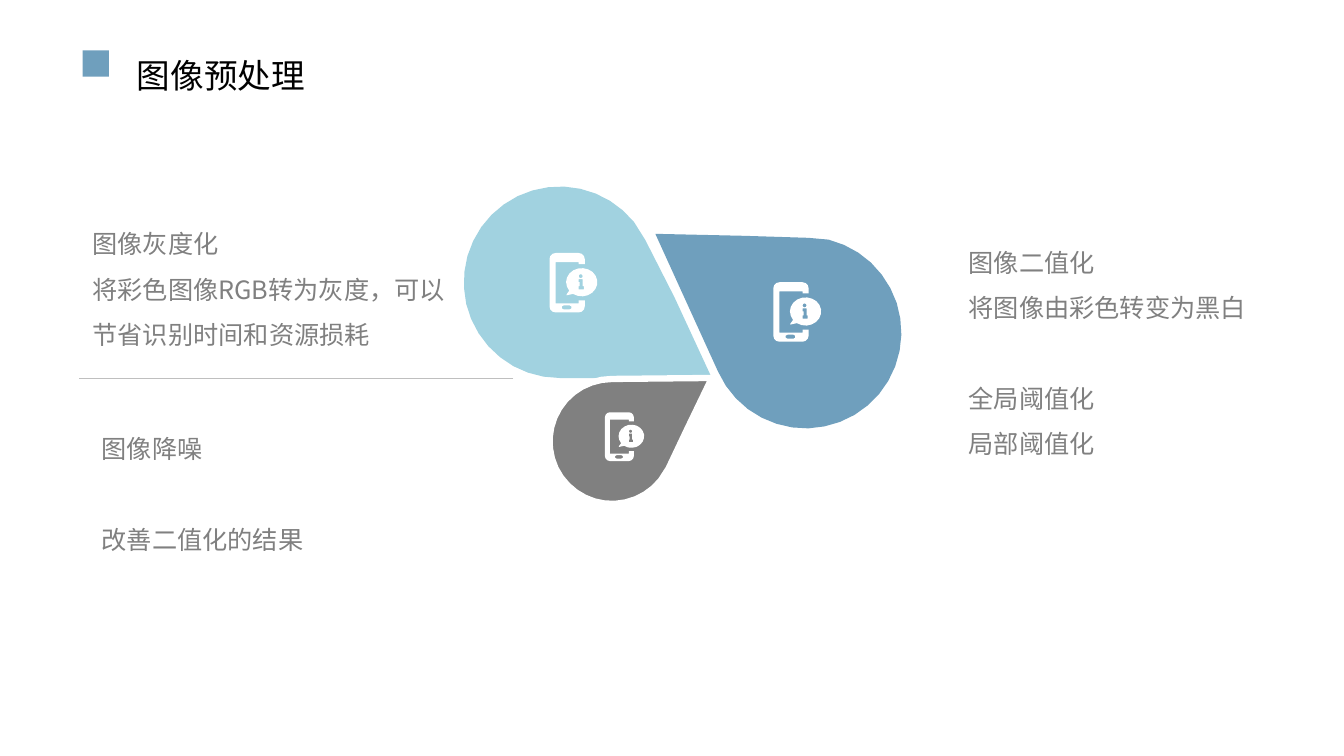
from math import cos, sin, radians
from lxml import etree
from pptx import Presentation
from pptx.dml.color import RGBColor
from pptx.enum.shapes import MSO_CONNECTOR, MSO_SHAPE
from pptx.oxml.ns import qn
from pptx.util import Inches, Pt

RECT = MSO_SHAPE.RECTANGLE
STRAIGHT = MSO_CONNECTOR.STRAIGHT
FONT = "Noto Sans CJK SC"
TEAL, BLUE, GRAY, WHITE = "A1D2E0", "6F9FBD", "808080", "FFFFFF"
color = RGBColor.from_string
UNITS = 1000  # freeform units per inch

prs = Presentation()
prs.slide_width, prs.slide_height = Inches(13.33), Inches(7.5)
slide = prs.slides.add_slide(prs.slide_layouts[6])
shapes = slide.shapes


def arc(x, y, rx, ry, start, end, steps):
    turns = [radians(start + (end - start) * i / steps) for i in range(steps + 1)]
    return [(x + rx * cos(t), y + ry * sin(t)) for t in turns]


def draw(loops, fill, left=0, top=0, size=1):
    pen = None
    for loop in loops:
        pts = [((left + x * size) * UNITS, (top + y * size) * UNITS) for x, y in loop]
        if pen is None:
            pen = shapes.build_freeform(*pts[0], scale=Inches(1) / UNITS)
        else:
            pen.move_to(*pts[0])
        pen.add_line_segments(pts[1:], close=True)
    shape = pen.convert_to_shape()
    shape.shadow.inherit = False
    shape.fill.solid()
    shape.fill.fore_color.rgb = color(fill)
    shape.line.fill.background()
    return shape


# Three drops: centre, radius, arc angles, points of the tip
drops = [
    (5.55, 2.8, 0.95, 90, 321, [(6.4, 2.38), (6.69, 2.95), (7.06, 3.75)], TEAL),
    (6.07, 4.38, 0.62, 39, 270, [(7.06, 3.75), (6.81, 4.27), (6.63, 4.65)], GRAY),
    (7.99, 3.3, 0.95, 156, -76, [(8.02, 2.36), (7.38, 2.34), (6.5, 2.32)], BLUE),
]
for x, y, r, start, end, tip, fill in drops:
    drop = draw([arc(x, y, r, r, start, end, 24) + tip], fill)
    if fill == GRAY:
        drop.line.color.rgb = color(WHITE)
        drop.line.width = Pt(4.5)

# Phone icon with a speech bubble, one per drop
r = 0.06
frame = (arc(0.06, 0.06, r, r, 180, 270, 3) + arc(0.29, 0.06, r, r, 270, 360, 3)
         + [(0.35, 0.11), (0.29, 0.11), (0.29, 0.09), (0.06, 0.09),
            (0.06, 0.5), (0.29, 0.5), (0.29, 0.47), (0.35, 0.47)]
         + arc(0.29, 0.53, r, r, 0, 90, 3) + arc(0.06, 0.53, r, r, 90, 180, 3))
button = arc(0.14, 0.54, 0.02, 0.02, 90, 270, 3) + arc(0.2, 0.54, 0.02, 0.02, -90, 90, 3)
bubble = arc(0.32, 0.29, 0.155, 0.14, 143, 484, 18) + [(0.17, 0.42), (0.17, 0.41)]
dot = arc(0.31, 0.23, 0.02, 0.02, 0, 360, 8)
stem = [(0.29, 0.26), (0.29, 0.29), (0.3, 0.29), (0.3, 0.33), (0.29, 0.33),
        (0.29, 0.36), (0.34, 0.36), (0.34, 0.33), (0.33, 0.33), (0.33, 0.26)]
for left, top, size in [(5.45, 2.51, 1), (6, 4.09, 0.82), (7.67, 2.8, 1)]:
    draw([frame, button, bubble, dot, stem], WHITE, left, top, size)

# Divider
rule = shapes.add_connector(STRAIGHT, Inches(5.09), Inches(3.75), Inches(0.78), Inches(3.75))
rule.line.color.rgb = color("BFBFBF")
rule.line.width = Pt(0.25)
etree.SubElement(rule._element.spPr, qn("a:effectLst"))

# Title marker
mark = shapes.add_shape(RECT, Inches(0.82), Inches(0.5), Inches(0.26), Inches(0.26))
mark.shadow.inherit = False
mark.fill.solid()
mark.fill.fore_color.rgb = color(BLUE)
mark.line.fill.background()

# Texts: box, size, line spacing, colour, paragraphs, index of the one set apart
texts = [
    ((1.26, 0.5, 2.57, 0.5), 24, 1, "000000", ["图像预处理"], None),
    ((0.82, 2.07, 3.93, 1.46), 18, 1.5, GRAY,
     ["图像灰度化", "将彩色图像RGB转为灰度，可以节省识别时间和资源损耗"], None),
    ((0.91, 4.1, 4.18, 1.46), 18, 1.5, GRAY, ["图像降噪", "改善二值化的结果"], 1),
    ((9.51, 2.25, 2.96, 2.37), 18, 1.5, GRAY,
     ["图像二值化", "将图像由彩色转变为黑白", "全局阈值化", "局部阈值化"], 2),
]
for box, size, space, tint, lines, apart in texts:
    body = shapes.add_textbox(*map(Inches, box)).text_frame
    body.word_wrap = True
    body.text = "\n".join(lines)
    for i, para in enumerate(body.paragraphs):
        para.line_spacing = space
        if i == apart:
            para.space_before = Pt(32.6)
        for run in para.runs:
            run.font.size = Pt(size)
            run.font.name = FONT
            run.font.color.rgb = color(tint)
            etree.SubElement(run.font._element, qn("a:ea")).set("typeface", FONT)

prs.save("out.pptx")
